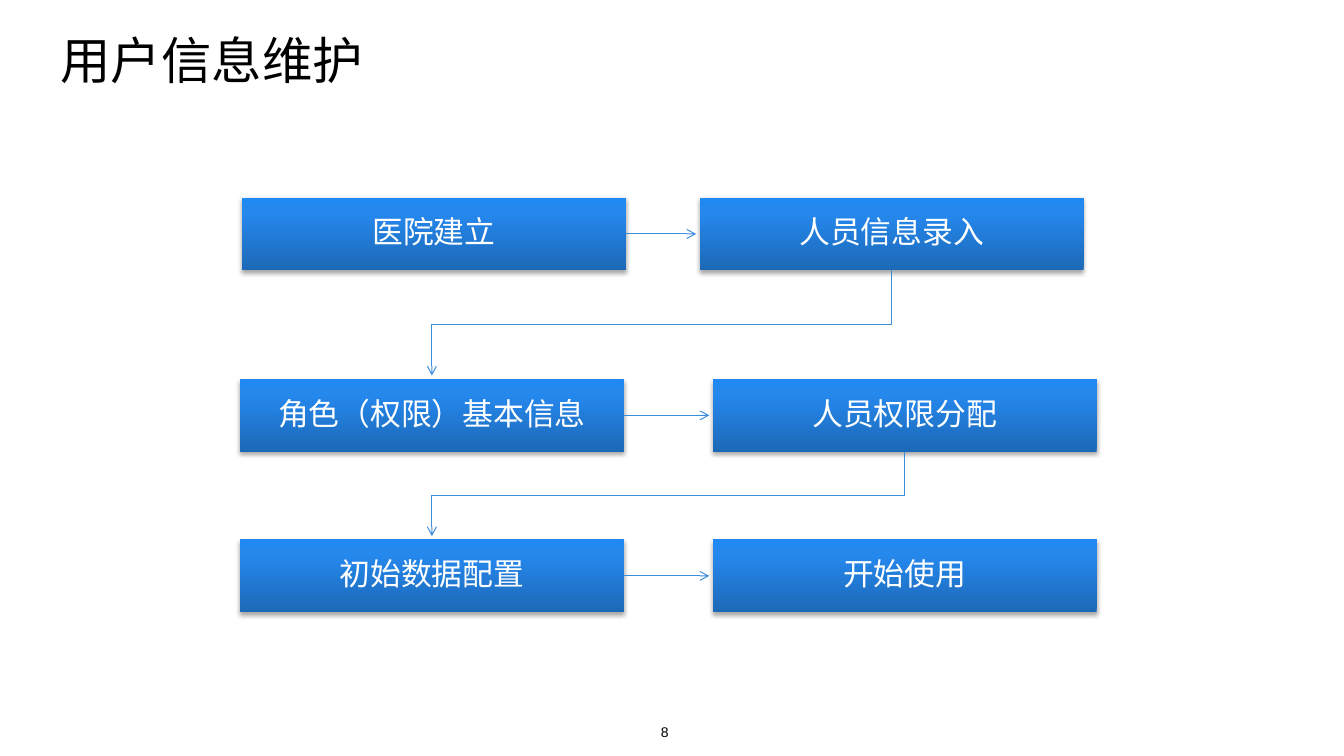
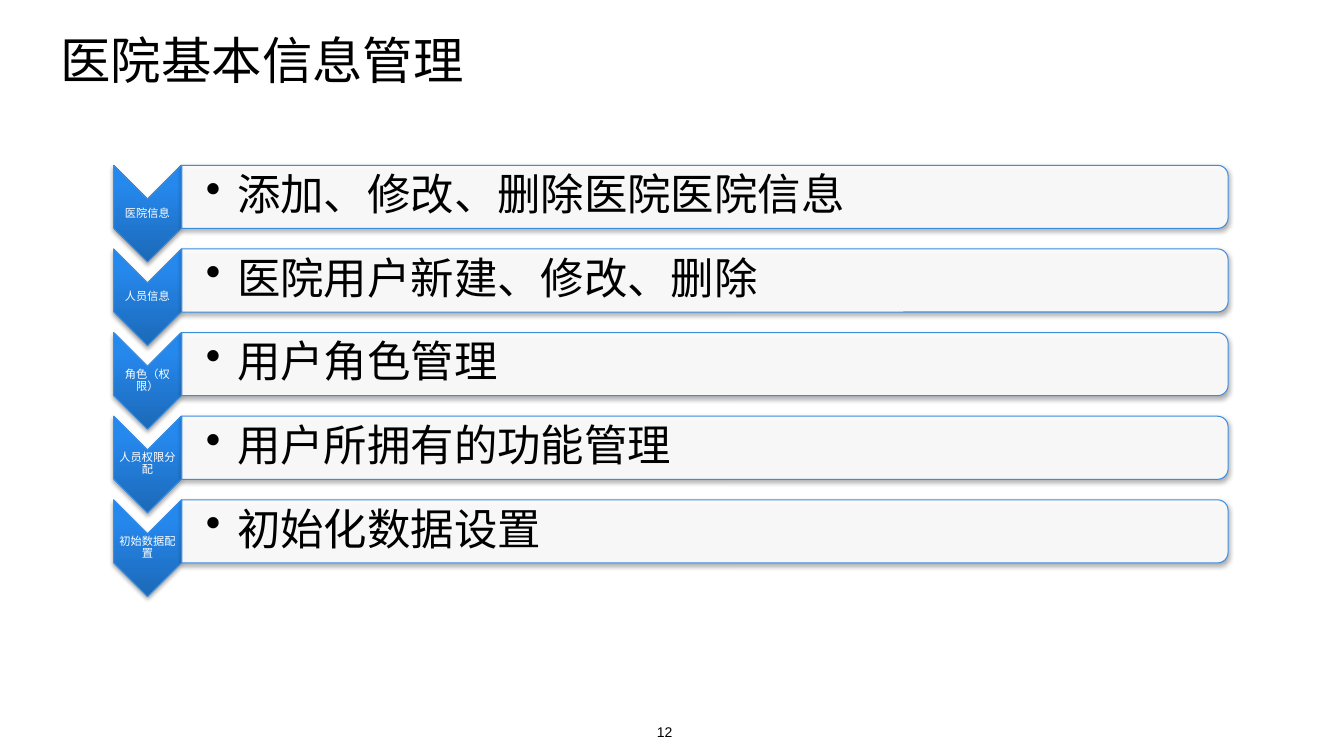
from dataclasses import dataclass

from pptx import Presentation
from pptx.dml.color import RGBColor
from pptx.enum.shapes import MSO_CONNECTOR, MSO_SHAPE
from pptx.enum.text import MSO_ANCHOR, PP_ALIGN
from pptx.oxml import parse_xml
from pptx.oxml.ns import nsdecls, qn
from pptx.util import Inches, Pt

RECT = MSO_SHAPE.RECTANGLE
CHEVRON = MSO_SHAPE.CHEVRON
ROUND_TOP = MSO_SHAPE.ROUND_2_SAME_RECTANGLE
STRAIGHT = MSO_CONNECTOR.STRAIGHT
LEFT, CENTER = PP_ALIGN.LEFT, PP_ALIGN.CENTER
MIDDLE, BOTTOM = MSO_ANCHOR.MIDDLE, MSO_ANCHOR.BOTTOM

COLUMNS = 40  # square grid cells across the slide


@dataclass(frozen=True)
class Theme:
    """Colours, font and type sizes shared by all slides."""
    font: str = "Arial"
    text: str = "000000"
    light: str = "FFFFFF"
    line: str = "3E8DDD"
    line_width: float = 0.75
    gradient: tuple = ((0, "1C69B7"), (80, "2588ED"), (100, "2189F2"))
    title: int = 36
    detail: int = 31
    step: int = 22
    number: int = 10
    label: int = 8


class Deck:
    """Holds the theme, the presentation and the current slide."""

    def __init__(self, theme):
        """Start an empty widescreen presentation."""
        self.theme = theme
        self.prs = Presentation()
        self.prs.slide_width = Inches(13.33)
        self.prs.slide_height = Inches(7.5)
        self.unit = self.prs.slide_width / COLUMNS

    def grid(self, *values):
        """Turn grid cells into slide lengths."""
        return [round(v * self.unit) for v in values]

    def new_slide(self, title, number):
        """Add a blank slide with its title and page number."""
        self.slide = self.prs.slides.add_slide(self.prs.slide_layouts[6])
        t = self.theme
        self.text((19.05, 21.24, 1.47, 0.81), str(number), t.number,
                  align=CENTER, anchor=BOTTOM)
        self.text((1.8, 0.9, 36.33, 1.71), title, t.title)

    def set_text(self, sp, text, size, color, align, anchor, insets, spacing):
        """Set and format the one paragraph of a shape."""
        tf = sp.text_frame
        tf.word_wrap = True
        tf.vertical_anchor = anchor
        (tf.margin_left, tf.margin_top,
         tf.margin_right, tf.margin_bottom) = self.grid(*insets)
        tf.text = text
        p = tf.paragraphs[0]
        p.alignment = align
        p.line_spacing = spacing
        font = p.runs[0].font
        font.name = self.theme.font
        font.size = Pt(size)
        font.color.rgb = RGBColor.from_string(color)
        return p

    def text(self, box, text, size, color=None, align=LEFT, anchor=MIDDLE,
             insets=(0, 0, 0, 0), spacing=1.0):
        """Add a text box and return its paragraph."""
        sp = self.slide.shapes.add_textbox(*self.grid(*box))
        return self.set_text(sp, text, size, color or self.theme.text, align,
                             anchor, insets, spacing)

    def bullet(self, box, text):
        """Add a text box holding one bulleted line."""
        p = self.text(box, text, self.theme.detail,
                      insets=(0.72, 0.06, 0.06, 0.06), spacing=0.9)
        indent, = self.grid(0.93)
        pPr = p._p.get_or_add_pPr()
        pPr.set("marL", str(indent))
        pPr.set("indent", str(-indent))
        pPr.append(parse_xml(f'<a:buChar {nsdecls("a")} char="•"/>'))

    def outline(self, sp):
        """Give a shape or connector the theme line."""
        sp.line.color.rgb = RGBColor.from_string(self.theme.line)
        sp.line.width = Pt(self.theme.line_width)

    def shadow(self, sp):
        """Cast a soft shadow straight down."""
        sp.shadow.inherit = False
        sp.element.spPr.find(qn("a:effectLst")).append(parse_xml(
            f'<a:outerShdw {nsdecls("a")} blurRad="40000" dist="23000" '
            'dir="5400000" rotWithShape="0"><a:srgbClr val="000000">'
            '<a:alpha val="35000"/></a:srgbClr></a:outerShdw>'))

    def gradient(self, sp):
        """Fill a shape with the theme gradient, dark at the bottom."""
        stops = "".join(
            f'<a:gs pos="{pos * 1000}"><a:srgbClr val="{color}"/></a:gs>'
            for pos, color in self.theme.gradient)
        sp.fill.background()
        spPr = sp.element.spPr
        spPr.replace(spPr.find(qn("a:noFill")), parse_xml(
            f'<a:gradFill {nsdecls("a")} rotWithShape="0"><a:gsLst>{stops}'
            '</a:gsLst><a:lin ang="16200000" scaled="0"/></a:gradFill>'))

    def turned(self, kind, box):
        """Add an outlined shape turned by 90 degrees to cover a box."""
        x, y, w, h = box
        shift = (w - h) / 2
        sp = self.slide.shapes.add_shape(
            kind, *self.grid(x + shift, y - shift, h, w))
        sp.rotation = 90
        self.outline(sp)
        self.shadow(sp)
        return sp

    def chevron(self, box):
        """Add a chevron pointing down."""
        self.gradient(self.turned(CHEVRON, box))

    def bar(self, box):
        """Add a pale bar with rounded right corners."""
        sp = self.turned(ROUND_TOP, box)
        sp.fill.solid()
        sp.fill.fore_color.rgb = RGBColor.from_string(self.theme.light)
        sp.element.spPr.find(qn("a:solidFill"))[0].append(
            parse_xml(f'<a:alpha {nsdecls("a")} val="90000"/>'))

    def step(self, box, text):
        """Add a flow chart box."""
        sp = self.slide.shapes.add_shape(RECT, *self.grid(*box))
        self.gradient(sp)
        sp.line.fill.background()
        self.shadow(sp)
        self.set_text(sp, text, self.theme.step, self.theme.light, CENTER,
                      MIDDLE, (0.51,) * 4, 0.9)

    def arrow(self, *points):
        """Add an arrow, straight or bent, through the points."""
        pts = [self.grid(*point) for point in points]
        if len(pts) == 2:
            sp = self.slide.shapes.add_connector(STRAIGHT, *pts[0], *pts[1])
            sp.element.spPr.append(parse_xml(f'<a:effectLst {nsdecls("a")}/>'))
        else:
            builder = self.slide.shapes.build_freeform(*pts[0])
            builder.add_line_segments(pts[1:], close=False)
            sp = builder.convert_to_shape()
            sp.fill.background()
            sp.shadow.inherit = False
        self.outline(sp)
        sp.element.spPr.find(qn("a:ln")).append(
            parse_xml(f'<a:tailEnd {nsdecls("a")} type="arrow"/>'))


def user_flow(deck):
    """Draw the six-step flow of user maintenance."""
    deck.new_slide("用户信息维护", 8)
    w, h, gap = 11.43, 2.17, 0.1
    rows = [(5.88, 7.2, "医院建立", 20.82, "人员信息录入"),
            (11.28, 7.14, "角色（权限）基本信息", 21.21, "人员权限分配"),
            (16.06, 7.14, "初始数据配置", 21.21, "开始使用")]
    for y, left, first, right, second in rows:
        deck.step((left, y, w, h), first)
        deck.step((right, y, w, h), second)
        deck.arrow((left + w, y + h / 2), (right - gap, y + h / 2))
    for (y, _, _, right, _), (below, left, _, _, _) in zip(rows, rows[1:]):
        start, end = right + w / 2, left + w / 2
        bend = (y + h + below) / 2
        deck.arrow((start, y + h), (start, bend), (end, bend),
                   (end, below - gap))


def hospital_list(deck):
    """Draw the list of hospital information functions."""
    deck.new_slide("医院基本信息管理", 12)
    top, pitch = 4.92, 2.49
    items = [("医院信息", "添加、修改、删除医院医院信息"),
             ("人员信息", "医院用户新建、修改、删除"),
             ("角色（权限）", "用户角色管理"),
             ("人员权限分配", "用户所拥有的功能管理"),
             ("初始数据配置", "初始化数据设置")]
    for i, (label, detail) in enumerate(items):
        y = top + i * pitch
        deck.chevron((3.38, y, 2.02, 2.88))
        deck.text((3.38, y + 1, 2.02, 0.87), label, deck.theme.label,
                  deck.theme.light, CENTER, insets=(0.03,) * 4, spacing=0.9)
        deck.bar((5.41, y, 31.14, 1.88))
        deck.bullet((5.41, y + 0.09, 31.05, 1.68), detail)


def main():
    """Build and save the slides."""
    deck = Deck(Theme())
    user_flow(deck)
    hospital_list(deck)
    deck.prs.save("out.pptx")


main()
